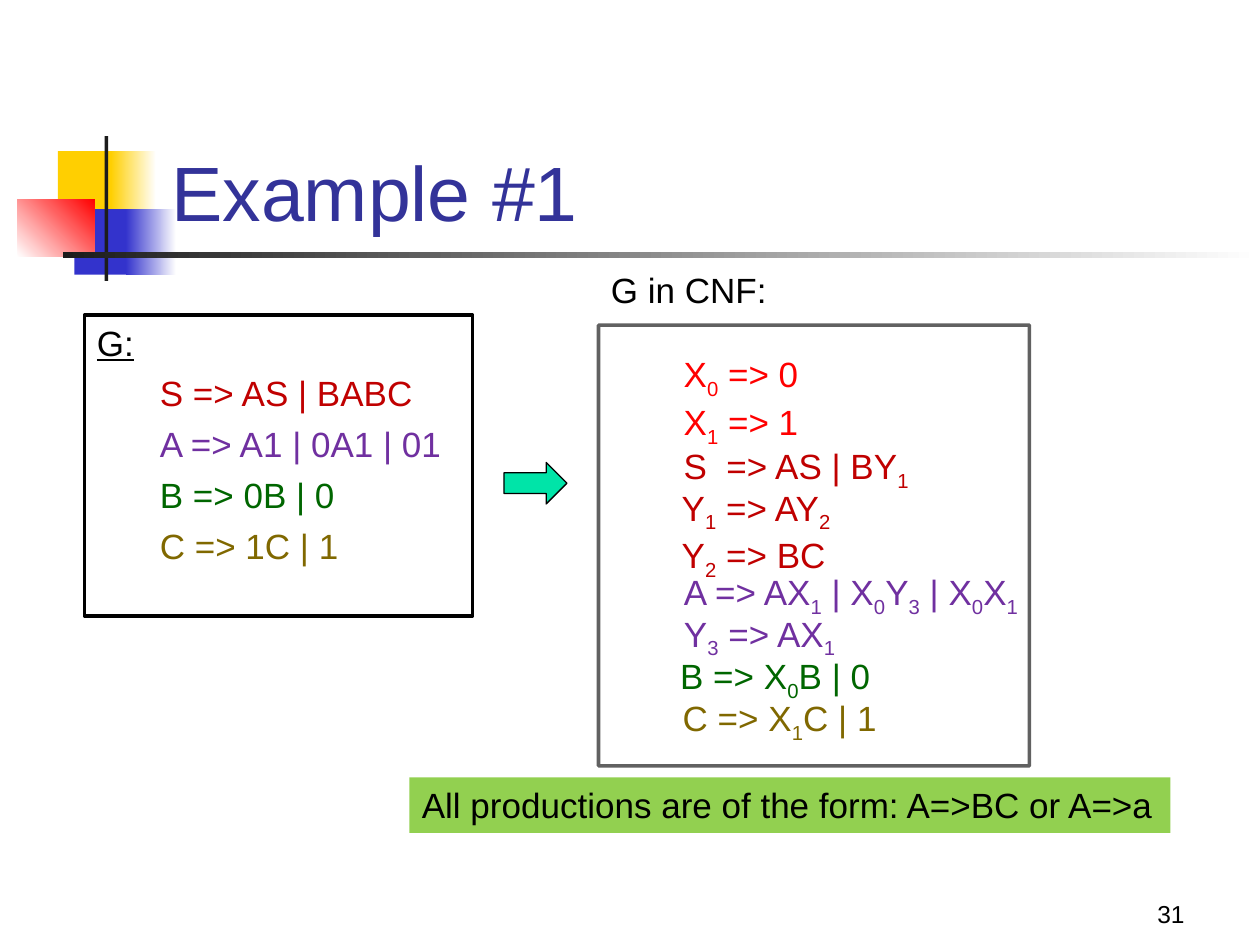
import pptx
import pptx.util
import pptx.dml.color
import pptx.enum.shapes
import pptx.enum.text
import pptx.oxml
import pptx.oxml.ns

Inches, Pt = pptx.util.Inches, pptx.util.Pt
SHAPES = pptx.enum.shapes.MSO_SHAPE
ANCHOR = pptx.enum.text.MSO_ANCHOR
ALIGN = pptx.enum.text.PP_ALIGN
FIT = pptx.enum.text.MSO_AUTO_SIZE.SHAPE_TO_FIT_TEXT

COLORS = {
    "white": "FFFFFF", "black": "000000", "ink": "1C1C1C", "title": "333399",
    "yellow": "FFCF01", "blue": "3333CC", "red": "FF0000", "start": "C00000",
    "purple": "7030A0", "green": "006600", "olive": "806800",
    "mint": "00E4A8", "lime": "92D050",
}

# Content: "_" makes the next character a subscript
TITLE = "Example #1"
PAGE = "31"
GRAMMAR = [
    ("G:", "black"),
    ("S => AS | BABC", "start"),
    ("A => A1 | 0A1 | 01", "purple"),
    ("B => 0B | 0", "green"),
    ("C => 1C | 1", "olive"),
]
# Row on the grid, left, width, height, colour, lines
ROW_TOP, ROW_STEP = 2.81, 1 / 3
CNF = [
    (-0.18, 5.25, 1.21, 0.77, "red", [" X_0 => 0", " X_1 => 1"]),
    (2, 5.25, 2.09, 0.44, "start", [" S  => AS | BY_1"]),
    (3, 5.24, 1.49, 0.77, "start", [" Y_1 => AY_2", " Y_2 => BC"]),
    (5, 5.33, 2.94, 0.44, "purple", ["A => AX_1 | X_0Y_3 | X_0X_1"]),
    (6, 5.33, 1.44, 0.44, "purple", ["Y_3 => AX_1"]),
    (7, 5.30, 1.73, 0.44, "green", ["B => X_0B | 0"]),
    (8, 5.32, 1.76, 0.44, "olive", ["C => X_1C | 1"]),
]
CNF_HEADING = "G in CNF:"
CONCLUSION = "All productions are of the form: A=>BC or A=>a"
# Left, top, width, height, colours (two make a gradient), angle
ORNAMENT = [
    (0.46, 1.20, 0.48, 0.52, ["yellow"], 0),
    (0.88, 1.20, 0.36, 0.52, ["yellow", "white"], 0),
    (0.59, 1.66, 0.46, 0.52, ["blue"], 0),
    (1.00, 1.66, 0.40, 0.52, ["blue", "white"], 0),
    (0.14, 1.58, 0.61, 0.46, ["white", "red"], 45),
    (0.83, 1.08, 0.03, 1.15, ["ink"], 0),
    (0.50, 2.00, 9.50, 0.05, ["ink", "white"], 0),
]


def rgb(name):
    return pptx.dml.color.RGBColor.from_string(COLORS[name])


def add_block(slide, box, fills=(), angle=0, line=None, width=1, kind=SHAPES.RECTANGLE):
    block = slide.shapes.add_shape(kind, *map(Inches, box))
    block.shadow.inherit = False
    if len(fills) == 2:
        block.fill.gradient()
        block.fill.gradient_angle = angle
        for stop, name in zip(block.fill.gradient_stops, fills):
            stop.color.rgb = rgb(name)
    elif fills:
        block.fill.solid()
        block.fill.fore_color.rgb = rgb(fills[0])
    else:
        block.fill.background()
    if line:
        block.line.color.rgb = rgb(line)
        block.line.width = Pt(width)
    else:
        block.line.fill.background()
    return block


def style(run, color, size=20):
    run.font.name, run.font.size = "Arial", Pt(size)
    run.font.color.rgb = rgb(color)


def write(paragraph, text, color, size=20):
    paragraph.alignment = ALIGN.LEFT
    first, *rest = text.split("_")
    pieces = [(first, False)]
    for part in rest:
        pieces += [(part[0], True), (part[1:], False)]
    for piece, lowered in pieces:
        if piece:
            run = paragraph.add_run()
            run.text = piece
            style(run, color, size)
            if lowered:
                run.font._element.set("baseline", "-25000")


def fill_text(shape, lines, wrap=False):
    """Write (text, colour) lines, one paragraph each."""
    frame = shape.text_frame
    frame.word_wrap, frame.auto_size = wrap, FIT
    frame.vertical_anchor = ANCHOR.TOP
    for i, (text, color) in enumerate(lines):
        write(frame.add_paragraph() if i else frame.paragraphs[0], text, color)
    return frame


def add_text(slide, box, lines):
    return fill_text(slide.shapes.add_textbox(*map(Inches, box)), lines)


def main():
    deck = pptx.Presentation()
    deck.slide_width, deck.slide_height = Inches(10), Inches(7.5)
    slide = deck.slides.add_slide(deck.slide_layouts[5])

    # Corner ornament and rule
    for *box, fills, angle in ORNAMENT:
        add_block(slide, box, fills, angle)

    # Title, raised above the ornament
    title = slide.shapes.title
    title.left, title.top, title.width, title.height = map(Inches, (1.26, 0.68, 8.52, 1.25))
    title.text_frame.text = TITLE
    title.text_frame.vertical_anchor = ANCHOR.BOTTOM
    title.text_frame.paragraphs[0].alignment = ALIGN.LEFT
    style(title.text_frame.paragraphs[0].runs[0], "title", 44)
    slide.shapes._spTree.append(title._element)

    # Page number
    page = slide.shapes.add_textbox(*map(Inches, (7.42, 6.92, 2.08, 0.5))).text_frame
    page.word_wrap, page.vertical_anchor = True, ANCHOR.BOTTOM
    write(page.paragraphs[0], PAGE, "black", 14)
    page.paragraphs[0].alignment = ALIGN.RIGHT

    # Starting grammar
    grammar = add_block(slide, (0.67, 2.5, 3.08, 2.39), ["white"], line="black", width=2)
    frame = fill_text(grammar, GRAMMAR, wrap=True)
    frame.auto_size = pptx.enum.text.MSO_AUTO_SIZE.NONE
    heading, *rules = frame.paragraphs
    heading.runs[0].font.underline = True
    for paragraph in frame.paragraphs:
        paragraph.space_before = Pt(5)
    for rule in rules:
        rule.level = 1
        properties = rule._p.get_or_add_pPr()
        properties.set("marL", str(Inches(0.5)))
        properties.set("indent", "0")

    # Grammar in normal form
    for row, left, width, height, color, lines in CNF:
        add_text(slide, (left, ROW_TOP + row * ROW_STEP, width, height),
                 [(line, color) for line in lines])
    add_block(slide, (4, 3.67, 0.5, 0.33), ["mint"], line="black", width=0.75,
              kind=SHAPES.RIGHT_ARROW)
    border = add_block(slide, (4.75, 2.58, 3.42, 3.5), line="black", width=2)
    tint = border.line._ln.find(".//" + pptx.oxml.ns.qn("a:srgbClr"))
    tint.append(pptx.oxml.parse_xml(
        f'<a:alpha {pptx.oxml.ns.nsdecls("a")} val="62000"/>'))
    add_text(slide, (4.75, 2.08, 1.45, 0.44), [(CNF_HEADING, "black")])

    # Conclusion
    banner = add_block(slide, (3.25, 6.17, 6.04, 0.44), ["lime"])
    fill_text(banner, [(CONCLUSION, "black")])

    deck.save("out.pptx")


if __name__ == "__main__":
    main()
